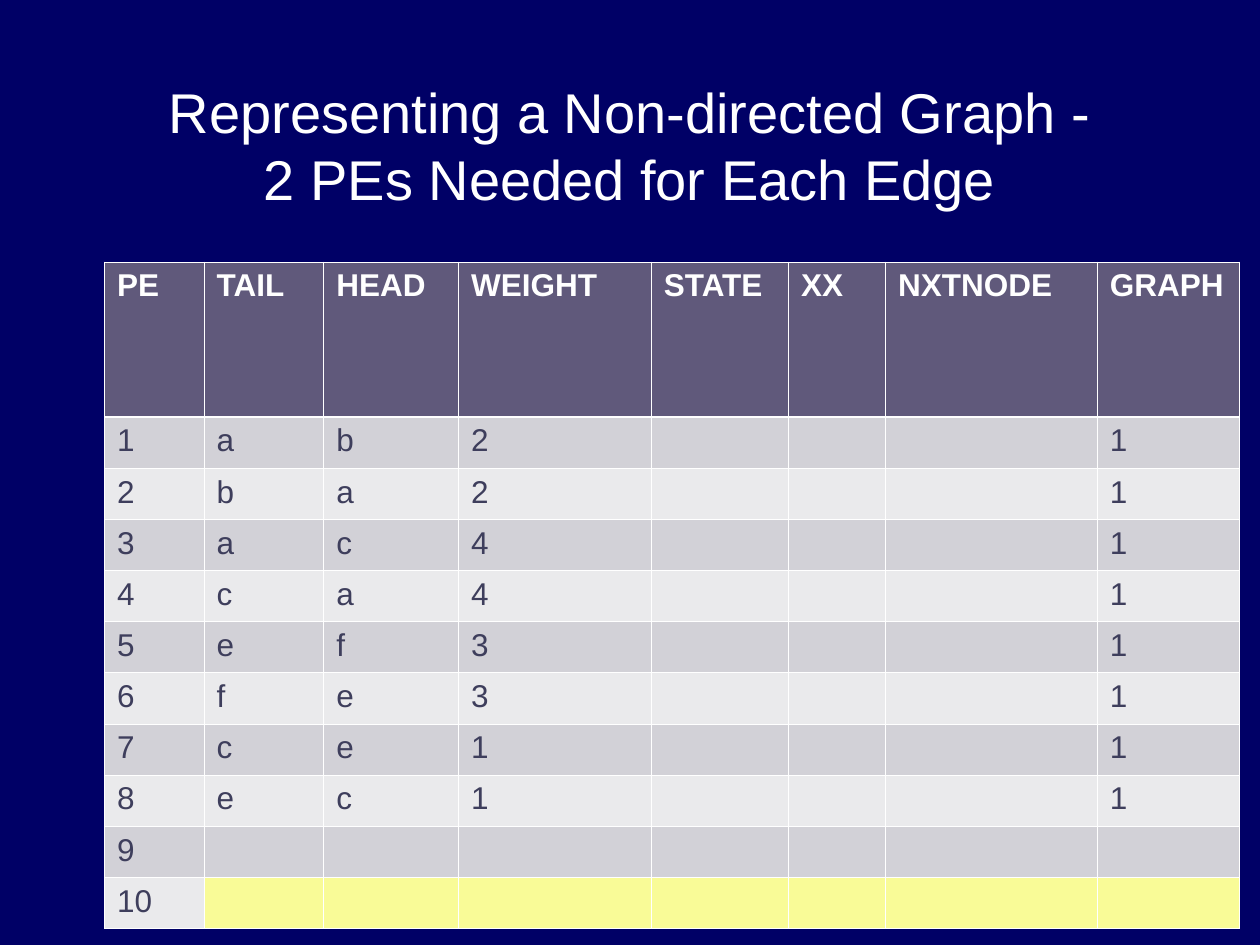
from lxml import etree
from pptx import Presentation
from pptx import util as u
from pptx.dml.color import RGBColor
from pptx.enum import text
from pptx.oxml import ns

WHITE, NAVY, HEADER = "FFFFFF", "000066", "60597B"
BANDS, HIGHLIGHT, BODY_TEXT = ("D2D1D7", "EAEAEC"), "F9FB97", "3E3E5C"
THIN, THICK = 0.45, 1.47

TITLE = "Representing a Non-directed Graph -\v2 PEs Needed for Each Edge"
HEADINGS = ["PE", "TAIL", "HEAD", "WEIGHT", "STATE", "XX", "NXTNODE", "GRAPH"]
COLUMN_WIDTHS = [0.79, 0.95, 1.07, 1.53, 1.09, 0.77, 1.68, 1.13]
HEADER_HEIGHT, BODY_HEIGHT = 1.23, 4.06
EDGES = [("a", "b", 2), ("a", "c", 4), ("e", "f", 3), ("c", "e", 1)]
PE_COUNT = 10


def color(value):
    return RGBColor.from_string(value)


def paint(target, value):
    target.fill.solid()
    target.fill.fore_color.rgb = color(value)


def format_text(frame, ink, **values):
    for para in frame.paragraphs:
        for span in para.runs:
            for name, value in {"name": "Arial", **values}.items():
                setattr(span.font, name, value)
            span.font.color.rgb = color(ink)


def add_borders(cell, **widths):
    properties = cell._tc.get_or_add_tcPr()
    for side in "LRTB":
        width = u.Pt(widths.get(side, THIN))
        line = etree.SubElement(properties, ns.qn(f"a:ln{side}"), w=str(width))
        fill = etree.SubElement(line, ns.qn("a:solidFill"))
        etree.SubElement(fill, ns.qn("a:srgbClr"), val=WHITE)


def graph_rows():
    """Each undirected edge takes two PEs, one for each direction."""
    directed = []
    for tail, head, weight in EDGES:
        directed += [(tail, head, weight), (head, tail, weight)]
    rows = [[pe, *edge, "", "", "", 1] for pe, edge in enumerate(directed, 1)]
    unused = range(len(rows) + 1, PE_COUNT + 1)
    return rows + [[pe] + [""] * (len(HEADINGS) - 1) for pe in unused]


def cell_fill(row, column):
    if row == 0:
        return HEADER
    if row == PE_COUNT and column > 0:
        return HIGHLIGHT
    return BANDS[(row - 1) % 2]


def add_title(page):
    title = page.shapes.title
    place = {"left": 0.5, "top": 0.3, "width": 9, "height": 1.7}
    for name, value in place.items():
        setattr(title, name, u.Inches(value))
    frame = title.text_frame
    frame.text = TITLE
    frame.word_wrap = True
    frame.vertical_anchor = text.MSO_ANCHOR.MIDDLE
    frame.paragraphs[0].alignment = text.PP_ALIGN.CENTER
    format_text(frame, WHITE, size=u.Pt(32))


def add_graph_table(page):
    rows = [HEADINGS] + graph_rows()
    table = page.shapes.add_table(
        len(rows), len(HEADINGS), u.Inches(0.83), u.Inches(2.08),
        u.Inches(sum(COLUMN_WIDTHS)), u.Inches(HEADER_HEIGHT + BODY_HEIGHT)).table
    for column, width in zip(table.columns, COLUMN_WIDTHS):
        column.width = u.Inches(width)
    for index, row in enumerate(table.rows):
        row.height = u.Inches(BODY_HEIGHT / PE_COUNT if index else HEADER_HEIGHT)

    # Heavier rule between the header and the first PE
    rules = {0: {"B": THICK}, 1: {"T": THICK}}
    for r, values in enumerate(rows):
        for c, value in enumerate(values):
            cell = table.cell(r, c)
            add_borders(cell, **rules.get(r, {}))
            paint(cell, cell_fill(r, c))
            if value != "":
                cell.text = str(value)
                format_text(cell.text_frame, BODY_TEXT if r else WHITE,
                            size=u.Pt(18), bold=r == 0)


def main():
    deck = Presentation()
    deck.slide_width, deck.slide_height = u.Inches(10), u.Inches(7.5)
    page = deck.slides.add_slide(deck.slide_layouts[5])
    paint(page.background, NAVY)
    add_title(page)
    add_graph_table(page)
    deck.save("out.pptx")


if __name__ == "__main__":
    main()
